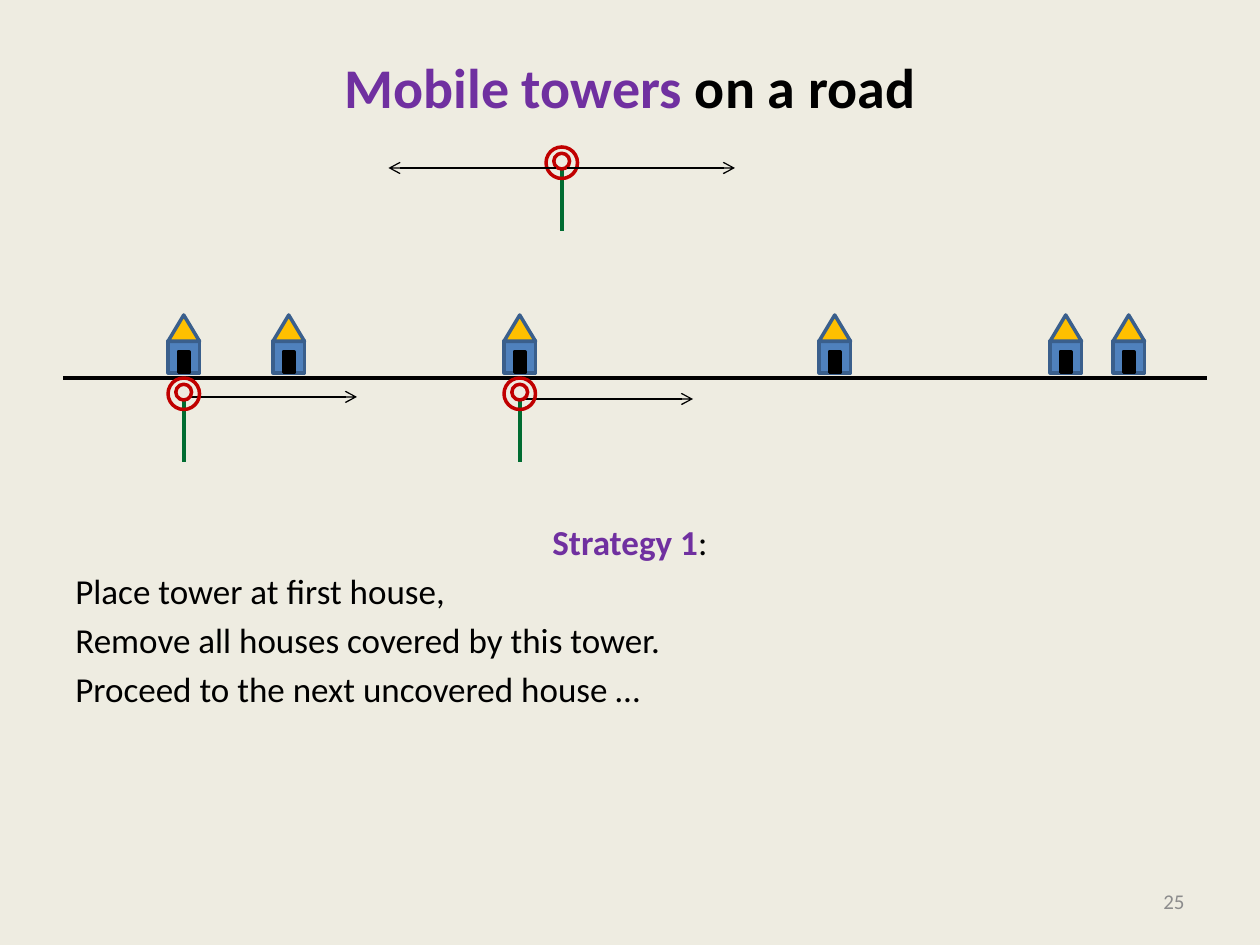
from lxml.etree import SubElement
from pptx import Presentation
from pptx.dml.color import RGBColor
from pptx.enum.shapes import MSO_CONNECTOR, MSO_SHAPE as SHAPE
from pptx.enum.text import MSO_ANCHOR as ANCHOR, PP_ALIGN as ALIGN
from pptx.oxml.ns import qn
from pptx.util import Inches, Pt

BLACK = RGBColor(0x00, 0x00, 0x00)
PURPLE = RGBColor(0x70, 0x30, 0xA0)
GRAY = RGBColor(0x8C, 0x8C, 0x8C)
CREAM = RGBColor(0xEE, 0xEC, 0xE1)
BLUE = RGBColor(0x4F, 0x81, 0xBD)
NAVY = RGBColor(0x3A, 0x5F, 0x8C)
GOLD = RGBColor(0xFF, 0xC0, 0x00)
RED = RGBColor(0xC0, 0x00, 0x00)
GREEN = RGBColor(0x00, 0x6C, 0x31)

COLS, ROWS = 120, 90
HOUSES = [16, 26, 48, 78, 100, 106]
ROAD = 36
RANGE = 16


class RoadSlide:
    """Draws road diagram elements on a grid of 120 columns by 90 rows."""

    font = "Calibri"
    outline = 2

    def __init__(self, prs):
        self.unit_x = prs.slide_width / COLS
        self.unit_y = prs.slide_height / ROWS
        self.s = prs.slides.add_slide(prs.slide_layouts[6])
        self.s.background.fill.solid()
        self.s.background.fill.fore_color.rgb = CREAM

    def grid(self, *lengths):
        units = (self.unit_x, self.unit_y)
        return [round(n * units[i % 2]) for i, n in enumerate(lengths)]

    def text(self, box, paragraphs, size, anchor=ANCHOR.TOP, gap=0):
        tf = self.s.shapes.add_textbox(*self.grid(*box)).text_frame
        tf.word_wrap = True
        tf.vertical_anchor = anchor
        for i, (align, runs) in enumerate(paragraphs):
            p = tf.add_paragraph() if i else tf.paragraphs[0]
            p.alignment = align
            p.space_before = Pt(gap if i else 0)
            for words, color, bold in runs:
                r = p.add_run()
                r.text = words
                r.font.name, r.font.size = self.font, Pt(size)
                r.font.bold, r.font.color.rgb = bold, color
        return tf

    def shape(self, kind, box, line, fill=None):
        sp = self.s.shapes.add_shape(kind, *self.grid(*box))
        sp.shadow.inherit = False
        if fill is None:
            sp.fill.background()
        else:
            sp.fill.solid()
            sp.fill.fore_color.rgb = fill
        sp.line.color.rgb = line
        sp.line.width = Pt(self.outline)

    def line(self, ends, color, width, arrow=False):
        cn = self.s.shapes.add_connector(MSO_CONNECTOR.STRAIGHT, *self.grid(*ends))
        cn.line.color.rgb = color
        cn.line.width = Pt(width)
        if arrow:
            SubElement(cn.line._get_or_add_ln(), qn("a:tailEnd"), type="arrow")
        SubElement(cn._element.spPr, qn("a:effectLst"))

    def house(self, col):
        self.shape(SHAPE.FLOWCHART_PROCESS, (col, ROAD - 3.5, 3, 3), NAVY, BLUE)
        self.shape(SHAPE.ISOSCELES_TRIANGLE, (col, ROAD - 6, 3, 2.5), NAVY, GOLD)
        self.shape(SHAPE.RECTANGLE, (col + 1, ROAD - 2.5, 1, 2), BLACK, BLACK)

    def tower(self, col, row):
        self.line((col + 1.5, row + 2, col + 1.5, row + 8), GREEN, 2.25)
        self.shape(SHAPE.OVAL, (col, row, 3, 3), RED)
        self.shape(SHAPE.OVAL, (col + 0.75, row + 0.6, 1.5, 1.5), RED)

    def reach(self, col, row, length=RANGE):
        self.line((col, row, col + length, row), BLACK, 0.75, arrow=True)


def main():
    prs = Presentation()
    prs.slide_width, prs.slide_height = Inches(10), Inches(7.5)
    road = RoadSlide(prs)

    title = [("Mobile towers ", PURPLE, True), ("on a road", BLACK, True)]
    tf = road.text((6, 3.6, 108, 15), [(ALIGN.CENTER, title)], 32)
    tf.margin_top = Inches(0.12)

    steps = ["Place tower at first house,",
             "Remove all houses covered by this tower.",
             "Proceed to the next uncovered house …"]
    heading = [("Strategy 1", PURPLE, True), (":", BLACK, False)]
    body = [(ALIGN.CENTER, heading)]
    body += [(ALIGN.LEFT, [(step, BLACK, False)]) for step in steps]
    road.text((6, 49, 108, 31.4), body, 20, gap=4)
    road.text((86, 83.4, 28, 4.8), [(ALIGN.RIGHT, [("25", GRAY, False)])], 12, ANCHOR.MIDDLE)

    road.line((6, ROAD, 115, ROAD), BLACK, 2.25)
    for col in HOUSES:
        road.house(col)

    road.reach(18, ROAD + 1.8)
    road.reach(50, ROAD + 2)
    for col, row in [(16, ROAD), (48, ROAD), (52, 14)]:
        road.tower(col, row)
    road.reach(54, 16)
    road.reach(53, 16, -RANGE)

    prs.save("out.pptx")


if __name__ == "__main__":
    main()
